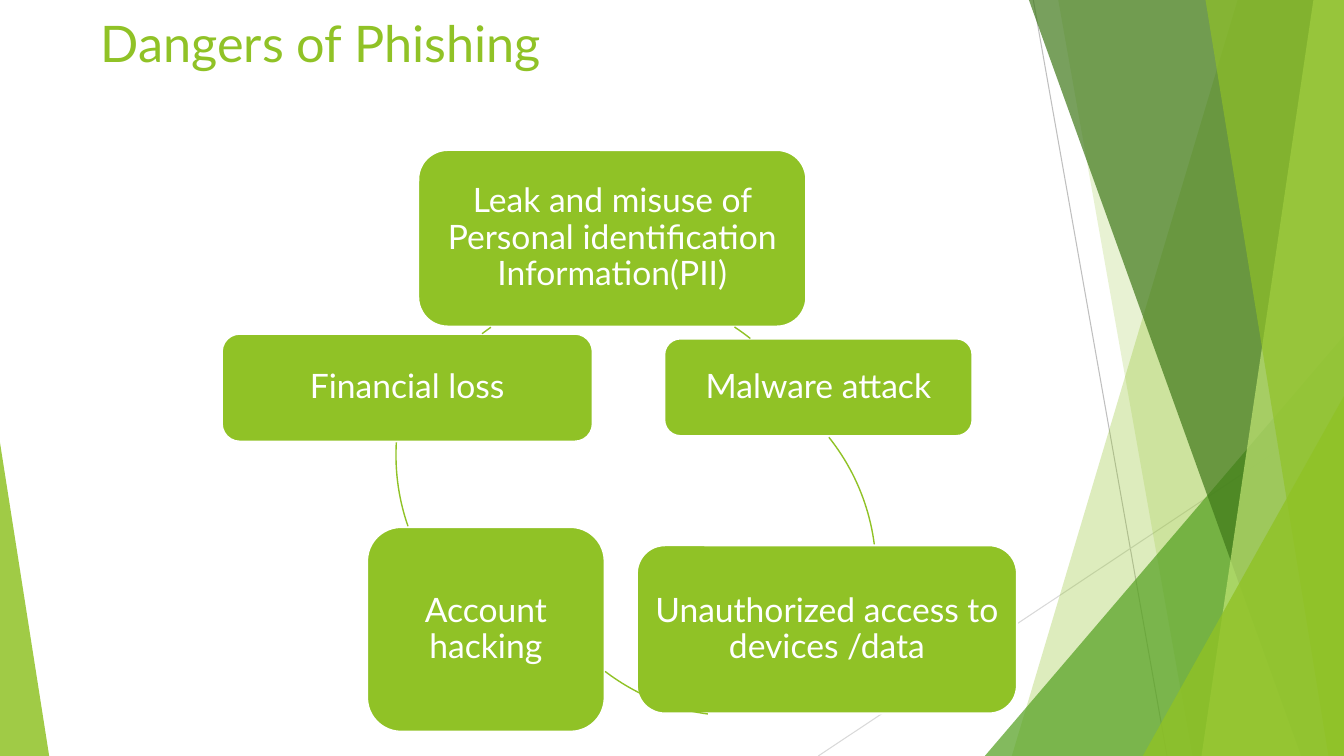
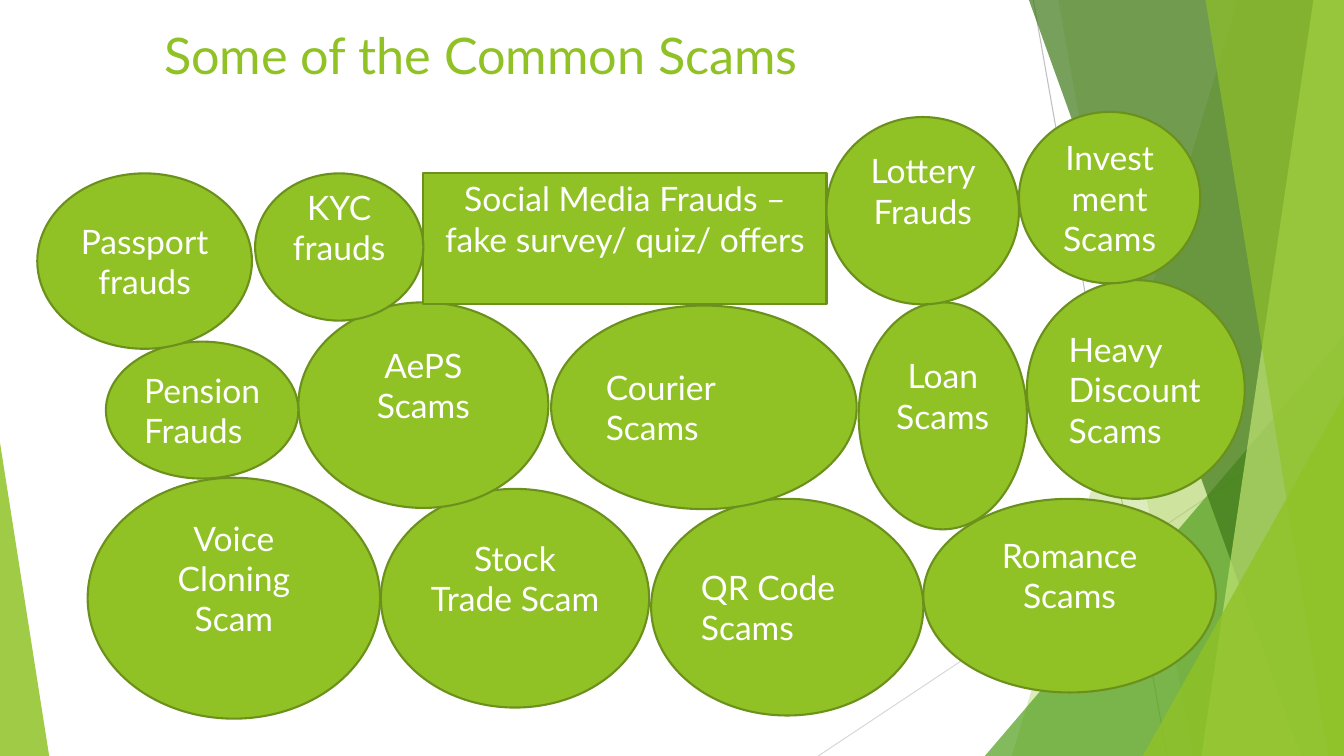
import lxml.etree
import pptx
import pptx.enum.shapes
import pptx.enum.text
import pptx.oxml.ns
import pptx.util
from pptx.dml.color import RGBColor
from pptx.util import Cm

SHAPES = pptx.enum.shapes.MSO_SHAPE
ALIGN = pptx.enum.text.PP_ALIGN
ANCHOR = pptx.enum.text.MSO_ANCHOR
qn = pptx.oxml.ns.qn

GREEN = RGBColor(0x90, 0xC2, 0x26)
DARK_GREEN = RGBColor(0x3F, 0x78, 0x19)
MID_GREEN = RGBColor(0x54, 0xA0, 0x21)
PALE_GREEN = RGBColor(0xC0, 0xE4, 0x74)
OUTLINE_GREEN = RGBColor(0x6B, 0x90, 0x1C)
WHITE = RGBColor(0xFF, 0xFF, 0xFF)
GREY = RGBColor(0xBF, 0xBF, 0xBF)
LIGHT_GREY = RGBColor(0xD9, 0xD9, 0xD9)

FONT = "Lato"
TITLE_SIZE, BODY_SIZE = 36, 24
SLIDE_WIDTH, SLIDE_HEIGHT = 33.87, 19.05
TEXT_LINE = 1.02  # height of one line of body text, cm

# All places and sizes are in cm.
RAYS = [  # start, end, colour
    ((26.04, 0), (29.41, SLIDE_HEIGHT), GREY),
    ((SLIDE_WIDTH, 10.24), (20.62, SLIDE_HEIGHT), LIGHT_GREY),
]
# A band reaches the right edge and has a slanted left side (top x, bottom x).
# A corner is a right triangle on the bottom edge (left, top, width, apex).
FACETS = [  # kind, geometry, colour, opacity in percent
    ("band", (31.19, 25.5), GREEN, 30),
    ("band", (26.67, 30.05), GREEN, 20),
    ("corner", (24.82, 8.46, 9.05, 1), MID_GREEN, 72),
    ("band", (25.93, 32.79), DARK_GREEN, 70),
    ("band", (33.1, 30.28), PALE_GREEN, 70),
    ("band", (30.38, 33.48), GREEN, 65),
    ("corner", (28.8, 9.98, 5.07, 1), GREEN, 80),
    ("corner", (0, 11.15, 1.24, 0), GREEN, 85),
]

DANGERS_TITLE = ("Dangers of Phishing", (2.29, 0.18, 23.88, 3.66))
DANGERS = [
    ("Leak and misuse of Personal identification Information(PII)",
     (10.54, 3.78, 9.78, 4.45)),
    ("Malware attack", (16.74, 8.53, 7.77, 2.46)),
    ("Unauthorized access to devices /data", (16.05, 13.74, 9.58, 4.24)),
    ("Account hacking", (9.25, 13.28, 5.99, 5.16)),
    ("Financial loss", (5.59, 8.41, 9.35, 2.72)),
]
CYCLE_DIAMETER = 10.9
CYCLE_ARCS = [  # left, top, start and end angle in degrees
    (10.06, 7.34, 303.4, 308.6),
    (11.18, 8.97, 321.4, 352.6),
    (13.11, 7.14, 97.6, 127.4),
    (9.98, 6.02, 160.8, 183.4),
    (10.01, 7.29, 232.6, 235.5),
]

SCAMS_TITLE = ("Some of the Common Scams", (3.89, 0.48, 21.87, 2.29))
OVAL, BOX = SHAPES.OVAL, SHAPES.RECTANGLE
LEFT, CENTER = ALIGN.LEFT, ALIGN.CENTER
SCAMS = [  # text, shape, place, alignment, text raised by half a line
    ("Voice Cloning Scam", OVAL, (2.21, 12.04, 7.37, 6.07), CENTER, True),
    ("Stock Trade Scam", OVAL, (9.6, 12.32, 6.76, 5.51), CENTER, True),
    ("QR Code Scams", OVAL, (16.41, 12.57, 6.86, 5.46), LEFT, False),
    ("AePS Scams", OVAL, (7.52, 7.62, 6.3, 5.18), CENTER, True),
    ("Courier Scams", OVAL, (13.89, 7.7, 7.7, 5.13), LEFT, False),
    ("Romance Scams", OVAL, (23.27, 12.57, 7.37, 4.88), CENTER, True),
    ("Loan Scams", OVAL, (21.64, 7.62, 4.24, 5.72), CENTER, True),
    ("Social Media Frauds –\nfake survey/ quiz/ offers", BOX,
     (10.67, 4.37, 10.16, 3.3), CENTER, True),
    ("Pension Frauds", OVAL, (2.67, 8.61, 4.85, 3.45), LEFT, False),
    ("KYC frauds", OVAL, (6.43, 4.37, 4.24, 3.71), CENTER, True),
    ("Lottery Frauds", OVAL, (20.83, 2.95, 4.85, 4.72), CENTER, True),
    ("Heavy Discount Scams", OVAL, (25.88, 7.06, 5.49, 5.51), LEFT, False),
    ("Investment Scams", OVAL, (25.68, 2.82, 4.57, 4.32), CENTER, False),
    ("Passport frauds", OVAL, (0.94, 4.37, 5.41, 4.42), CENTER, False),
]


def in_cm(values):
    return [Cm(value) for value in values]


def style_shape(shape, fill=None, line=None, line_width=1.5, opacity=100):
    shape.shadow.inherit = False
    if fill is None:
        shape.fill.background()
    else:
        shape.fill.solid()
        shape.fill.fore_color.rgb = fill
        if opacity < 100:
            color = next(shape.element.iter(qn("a:srgbClr")))
            lxml.etree.SubElement(color, qn("a:alpha"), val=str(opacity * 1000))
    if line is None:
        shape.line.fill.background()
    else:
        shape.line.color.rgb = line
        shape.line.width = pptx.util.Pt(line_width)


def write_text(shape, text, size, color, align, anchor, spacing=None):
    frame = shape.text_frame
    frame.text = text
    frame.word_wrap = True
    frame.vertical_anchor = anchor
    for paragraph in frame.paragraphs:
        paragraph.alignment = align
        if spacing:
            paragraph.line_spacing = spacing
        for run in paragraph.runs:
            run.font.name = FONT
            run.font.size = pptx.util.Pt(size)
            run.font.color.rgb = color
    return frame


def add_ray(slide, start, end, color):
    connector = slide.shapes.add_connector(
        pptx.enum.shapes.MSO_CONNECTOR.STRAIGHT, *in_cm(start + end))
    connector.line.color.rgb = color
    connector.line.width = pptx.util.Pt(0.75)
    properties = connector.element.find(qn("p:spPr"))
    lxml.etree.SubElement(properties, qn("a:effectLst"))


def add_band(slide, top_x, bottom_x):
    corners = [(SLIDE_WIDTH, 0), (SLIDE_WIDTH, SLIDE_HEIGHT),
               (bottom_x, SLIDE_HEIGHT)]
    builder = slide.shapes.build_freeform(Cm(top_x), Cm(0), scale=1.0)
    builder.add_line_segments([in_cm(corner) for corner in corners], close=True)
    return builder.convert_to_shape()


def add_corner(slide, left, top, width, apex):
    shape = slide.shapes.add_shape(
        SHAPES.ISOSCELES_TRIANGLE,
        *in_cm((left, top, width, SLIDE_HEIGHT - top)))
    shape.adjustments[0] = apex
    return shape


def decorate_layout(layout, slide):
    """Draw the shared backdrop on the still empty slide, then move it to the layout."""
    for placeholder in list(layout.placeholders):
        placeholder.element.getparent().remove(placeholder.element)
    for ray in RAYS:
        add_ray(slide, *ray)
    builders = {"band": add_band, "corner": add_corner}
    for kind, geometry, color, opacity in FACETS:
        facet = builders[kind](slide, *geometry)
        style_shape(facet, color, opacity=opacity)
    for shape in list(slide.shapes):
        layout.shapes.element.append(shape.element)


def add_title(slide, text, place):
    title = slide.shapes.add_textbox(*in_cm(place))
    write_text(title, text, TITLE_SIZE, GREEN, LEFT, ANCHOR.TOP)


def fill_dangers(slide):
    add_title(slide, *DANGERS_TITLE)
    for text, place in DANGERS:
        box = slide.shapes.add_shape(SHAPES.ROUNDED_RECTANGLE, *in_cm(place))
        style_shape(box, GREEN, WHITE)
        frame = write_text(box, text, BODY_SIZE, WHITE, CENTER, ANCHOR.MIDDLE, 0.9)
        frame.margin_left = frame.margin_right = Cm(0.25)
        frame.margin_top = frame.margin_bottom = Cm(0.25)
    for left, top, start, end in CYCLE_ARCS:
        arc = slide.shapes.add_shape(
            SHAPES.ARC, *in_cm((left, top, CYCLE_DIAMETER, CYCLE_DIAMETER)))
        # Angles are stored in 1/60000 degree, adjustments in 1/100000.
        arc.adjustments[0] = start * 0.6
        arc.adjustments[1] = end * 0.6
        style_shape(arc, line=GREEN, line_width=1)


def fill_scams(slide):
    add_title(slide, *SCAMS_TITLE)
    for text, kind, place, align, raised in SCAMS:
        bubble = slide.shapes.add_shape(kind, *in_cm(place))
        style_shape(bubble, GREEN, OUTLINE_GREEN)
        frame = write_text(bubble, text, BODY_SIZE, WHITE, align, ANCHOR.MIDDLE)
        if raised:
            frame.margin_bottom += Cm(TEXT_LINE)


def main():
    presentation = pptx.Presentation()
    presentation.slide_width = Cm(SLIDE_WIDTH)
    presentation.slide_height = Cm(SLIDE_HEIGHT)
    blank = presentation.slide_layouts[6]
    dangers_slide = presentation.slides.add_slide(blank)
    decorate_layout(blank, dangers_slide)
    fill_dangers(dangers_slide)
    fill_scams(presentation.slides.add_slide(blank))
    presentation.save("out.pptx")


if __name__ == "__main__":
    main()
